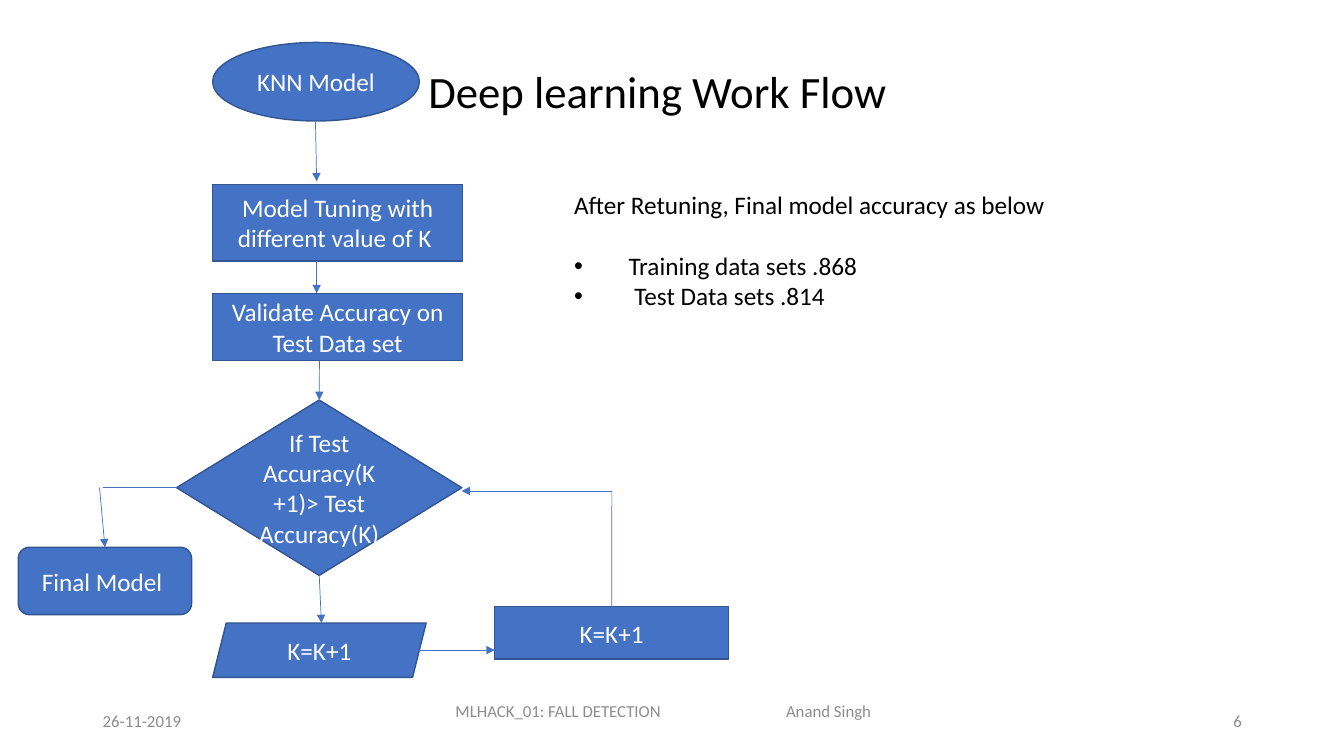
from lxml.etree import SubElement as Sub
from pptx import Presentation
from pptx.dml.color import RGBColor as Rgb
from pptx.enum.shapes import MSO_CONNECTOR as Conn, MSO_SHAPE as Kind
from pptx.enum.text import MSO_ANCHOR as Anchor, PP_ALIGN as Align
from pptx.oxml.ns import qn
from pptx.util import Cm, Pt

HUES = {"fill": "4472C4", "edge": "325491", "light": "FFFFFF", "dark": "000000", "gray": "8C8C8C"}


def write(frame, lines, size, hue, align, anchor):
    frame.word_wrap = True
    frame.vertical_anchor = anchor
    frame.text = "\n".join(lines)
    for para in frame.paragraphs:
        para.alignment = align
        for run in para.runs:
            for key, val in {"name": "Calibri", "size": Pt(size), "bold": False}.items():
                setattr(run.font, key, val)
            run.font.color.rgb = Rgb.from_string(HUES[hue])


deck = Presentation()
deck.slide_width, deck.slide_height = Cm(33.87), Cm(19.05)
slide = deck.slides.add_slide(deck.slide_layouts[5])
shapes = slide.shapes

# Title
title = shapes.title
spot = {"left": 10.54, "top": 1.47, "width": 12.55, "height": 1.63}
for key, val in spot.items():
    setattr(title, key, Cm(val))
write(title.text_frame, ["Deep learning Work Flow"], 32, "dark", Align.LEFT, Anchor.TOP)

# Flow chart steps
steps = {
    "start": (Kind.OVAL, 5.36, 1.07, 5.21, 1.98, "KNN Model"),
    "tune": (Kind.RECTANGLE, 5.36, 4.65, 6.3, 1.93, "Model Tuning with different value of K "),
    "check": (Kind.RECTANGLE, 5.36, 7.39, 6.3, 1.7, "Validate Accuracy on Test Data set"),
    "test": (Kind.FLOWCHART_DECISION, 4.45, 10.08, 7.19, 4.42,
             "If Test Accuracy(K+1)> Test Accuracy(K) "),
    "next": (Kind.PARALLELOGRAM, 5.36, 15.7, 5.38, 1.37, "K=K+1"),
    "loop": (Kind.RECTANGLE, 12.47, 15.29, 5.89, 1.32, "K=K+1"),
    "final": (Kind.ROUNDED_RECTANGLE, 0.46, 13.79, 4.37, 1.7, "Final Model "),
}
nodes = {}
for name, (kind, *box, text) in steps.items():
    node = nodes[name] = shapes.add_shape(kind, *map(Cm, box))
    node.shadow.inherit = False
    node.fill.solid()
    node.fill.fore_color.rgb = Rgb.from_string(HUES["fill"])
    node.line.color.rgb = Rgb.from_string(HUES["edge"])
    node.line.width = Pt(1)
    write(node.text_frame, [text], 18, "light", Align.CENTER, Anchor.MIDDLE)

# Lines: from, to, arrowhead, joined start, joined end
links = [
    (15.42, 15.29, 15.42, 12.37, False, ("loop", 0), None),
    (15.42, 12.37, 11.63, 12.37, True, None, None),
    (7.95, 3.07, 7.98, 4.57, True, None, None),
    (7.98, 6.58, 7.98, 7.39, True, None, None),
    (8.05, 9.09, 8.05, 10.08, True, None, ("test", 0)),
    (4.45, 12.29, 2.59, 12.29, False, ("test", 1), None),
    (2.51, 12.29, 2.59, 13.79, True, None, ("final", 0)),
    (8.05, 14.5, 8.1, 15.7, True, ("test", 2), None),
    (10.57, 16.38, 12.47, 16.38, True, None, None),
]
for *ends, arrow, start, stop in links:
    link = shapes.add_connector(Conn.STRAIGHT, *map(Cm, ends))
    if start:
        link.begin_connect(nodes[start[0]], start[1])
    if stop:
        link.end_connect(nodes[stop[0]], stop[1])
    link.line.color.rgb = Rgb.from_string(HUES["fill"])
    link.line.width = Pt(0.5)
    if arrow:
        Sub(link.line._get_or_add_ln(), qn("a:tailEnd"), type="triangle")
    Sub(link._element.spPr, qn("a:effectLst"))

# Results
body = shapes.add_textbox(Cm(14.22), Cm(4.65), Cm(14.73), Cm(3.33)).text_frame
write(body, ["After Retuning, Final model accuracy as below", "Training data sets .868",
             "Test Data sets .814"], 18, "dark", Align.LEFT, Anchor.TOP)
for para, gap in zip(body.paragraphs[1:], (1.37, 1.52)):
    props = para._p.get_or_add_pPr()
    props.set("marL", str(Cm(gap)))
    props.set("indent", str(-Cm(gap)))
    Sub(props, qn("a:buFont"), typeface="Arial")
    Sub(props, qn("a:buChar"), char="•")
body.paragraphs[1].space_before = Pt(22)

# Footer
foot = [
    (2.34, 7.62, "26-11-2019", Align.LEFT, Anchor.MIDDLE),
    (11.23, 11.43, "MLHACK_01: FALL DETECTION\tAnand Singh", Align.LEFT, Anchor.TOP),
    (23.93, 7.62, "6", Align.RIGHT, Anchor.MIDDLE),
]
for left, width, text, align, anchor in foot:
    frame = shapes.add_textbox(Cm(left), Cm(17.65), Cm(width), Cm(1.02)).text_frame
    write(frame, [text], 12, "gray", align, anchor)
    if "\t" in text:
        frame.margin_top = 0
        tabs = Sub(frame.paragraphs[0]._p.get_or_add_pPr(), qn("a:tabLst"))
        Sub(tabs, qn("a:tab"), pos=str(Cm(8.33)), algn="l")

deck.save("out.pptx")
